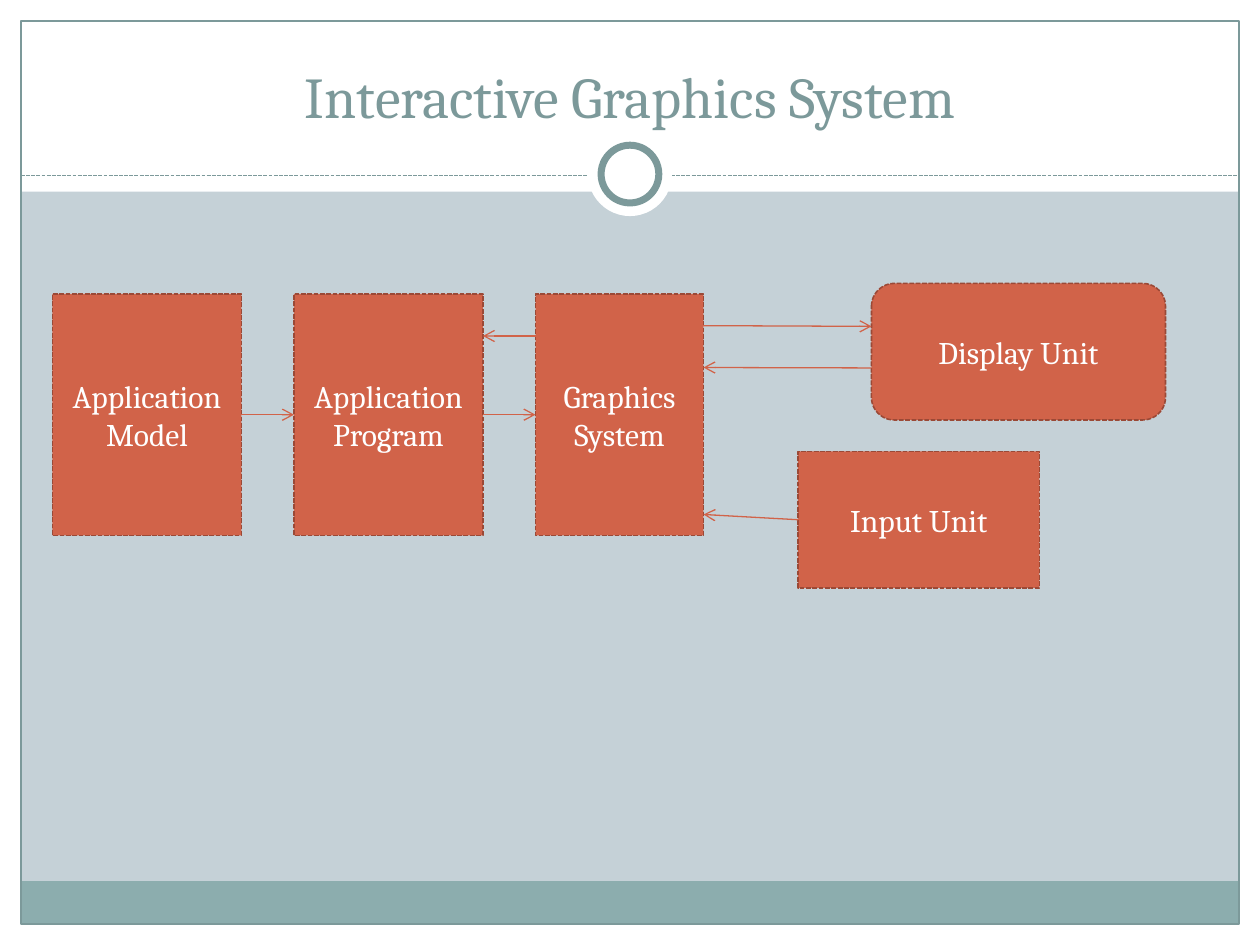
from dataclasses import dataclass
from typing import Any, Optional

import pptx
import pptx.dml.color
import pptx.enum.dml
import pptx.enum.shapes
import pptx.enum.text
import pptx.oxml
import pptx.oxml.ns
import pptx.util

Pt = pptx.util.Pt
RGBColor = pptx.dml.color.RGBColor
SHAPE = pptx.enum.shapes.MSO_SHAPE
DASH = pptx.enum.dml.MSO_LINE.SQUARE_DOT
CENTER = pptx.enum.text.PP_ALIGN.CENTER
ANCHOR = pptx.enum.text.MSO_ANCHOR

WHITE = RGBColor(0xFF, 0xFF, 0xFF)
MIST = RGBColor(0xC5, 0xD1, 0xD7)
TEAL = RGBColor(0x8C, 0xAD, 0xAE)
SLATE = RGBColor(0x7C, 0x99, 0x9A)
RUST = RGBColor(0xD1, 0x63, 0x49)
BROWN = RGBColor(0x9B, 0x49, 0x36)

WIDTH, HEIGHT, MARGIN = 720, 540, 12
ROW_TOP, ROW_HEIGHT = 168, 138
TOP, LEFT, RIGHT = 0, 1, 3


@dataclass
class Block:
    left: float
    top: float
    width: float
    height: float
    fill: Optional[RGBColor] = None
    line: Optional[RGBColor] = None
    weight: float = 0.75
    dash: Any = None
    kind: Any = SHAPE.RECTANGLE
    text: str = ""


@dataclass
class Arrow:
    start: tuple[float, float]
    end: tuple[float, float]
    source: str = ""
    target: str = ""


def unit(text: str, left: float, top: float, width: float, height: float,
         kind: Any = SHAPE.RECTANGLE) -> Block:
    return Block(left, top, width, height, RUST, BROWN, 0.9, DASH, kind, text)


DECORATIONS = [
    Block(0, HEIGHT - MARGIN, WIDTH, MARGIN, WHITE),
    Block(0, 0, WIDTH, 109.5, WHITE),
    Block(0, 0, MARGIN, HEIGHT, WHITE),
    Block(WIDTH - MARGIN, 0, MARGIN, HEIGHT, WHITE),
    Block(MARGIN, 503.5, WIDTH - 2 * MARGIN, 24.5, TEAL),
    Block(MARGIN, MARGIN, WIDTH - 2 * MARGIN, HEIGHT - 2 * MARGIN, None, SLATE),
]
RINGS = [
    Block(336, 75.5, 48, 48, WHITE, kind=SHAPE.OVAL),
    Block(343.5, 83, 33, 33, WHITE, SLATE, 4, kind=SHAPE.OVAL),
]
UNITS = [
    unit("Application\nModel", 30, ROW_TOP, 108, ROW_HEIGHT),
    unit("Graphics\nSystem", 306, ROW_TOP, 96, ROW_HEIGHT),
    unit("Application\nProgram", 168, ROW_TOP, 108, ROW_HEIGHT),
    unit("Input Unit", 456, 258, 138, 78),
    unit("Display Unit", 498, 162, 168, 78, SHAPE.ROUNDED_RECTANGLE),
]
ARROWS = [
    Arrow((138, 237), (168, 237), "Application\nModel", "Application\nProgram"),
    Arrow((276, 237), (306, 237), "Application\nProgram", "Graphics\nSystem"),
    Arrow((378, 186), (498, 186.5)),
    Arrow((306, 192), (276, 192)),
    Arrow((498, 210.25), (402, 210)),
    Arrow((456, 297), (402, 294), "Input Unit"),
]


def apply(target: Any, values: dict[str, Any]) -> None:
    for name, value in values.items():
        setattr(target, name, value)


def format_text(frame: Any, text: str, size: float, color: RGBColor, anchor: Any) -> None:
    frame.text = text
    apply(frame, {"word_wrap": True, "vertical_anchor": anchor,
                  "auto_size": pptx.enum.text.MSO_AUTO_SIZE.NONE})
    for para in frame.paragraphs:
        para.alignment = CENTER
        for span in para.runs:
            apply(span.font, {"name": "Cambria", "size": Pt(size)})
            span.font.color.rgb = color


def draw_block(page: Any, block: Block) -> Any:
    box = page.shapes.add_shape(block.kind, Pt(block.left), Pt(block.top),
                                Pt(block.width), Pt(block.height))
    box.shadow.inherit = False
    if block.fill is None:
        box.fill.background()
    else:
        box.fill.solid()
        box.fill.fore_color.rgb = block.fill
    if block.line is None:
        box.line.fill.background()
    else:
        box.line.color.rgb = block.line
        apply(box.line, {"width": Pt(block.weight), "dash_style": block.dash})
    if block.text:
        format_text(box.text_frame, block.text, 18, WHITE, ANCHOR.MIDDLE)
    return box


def draw_line(page: Any, start: tuple[float, float], end: tuple[float, float],
              color: RGBColor) -> Any:
    line = page.shapes.add_connector(pptx.enum.shapes.MSO_CONNECTOR.STRAIGHT,
                                     *map(Pt, start + end))
    line.line.color.rgb = color
    line.line.width = Pt(0.75)
    properties = line.element.spPr
    properties.append(pptx.oxml.parse_xml(
        f"<a:effectLst {pptx.oxml.ns.nsdecls('a')}/>"))
    return line


def draw_arrow(page: Any, arrow: Arrow, boxes: dict[str, Any]) -> None:
    line = draw_line(page, arrow.start, arrow.end, RUST)
    line.line._get_or_add_ln().append(pptx.oxml.parse_xml(
        f"<a:tailEnd {pptx.oxml.ns.nsdecls('a')} type='arrow'/>"))
    if arrow.source:
        side = LEFT if arrow.start[0] > arrow.end[0] else RIGHT
        line.begin_connect(boxes[arrow.source], side)
    if arrow.target:
        line.end_connect(boxes[arrow.target], LEFT)


def main() -> None:
    deck = pptx.Presentation()
    apply(deck, {"slide_width": Pt(WIDTH), "slide_height": Pt(HEIGHT)})
    page = deck.slides.add_slide(deck.slide_layouts[5])
    page.background.fill.solid()
    page.background.fill.fore_color.rgb = MIST

    for block in DECORATIONS:
        draw_block(page, block)
    divider = draw_line(page, (MARGIN, 100.5), (WIDTH - MARGIN, 100.5), SLATE)
    divider.line.dash_style = DASH
    for ring in RINGS:
        draw_block(page, ring)

    title = page.shapes.title
    apply(title, {"left": Pt(24), "top": Pt(18), "width": Pt(672), "height": Pt(60)})
    format_text(title.text_frame, "Interactive Graphics System", 33, SLATE, ANCHOR.BOTTOM)
    page.shapes.element.append(title.element)

    boxes = {block.text: draw_block(page, block) for block in UNITS}
    for arrow in ARROWS:
        draw_arrow(page, arrow, boxes)

    deck.save("out.pptx")


if __name__ == "__main__":
    main()
